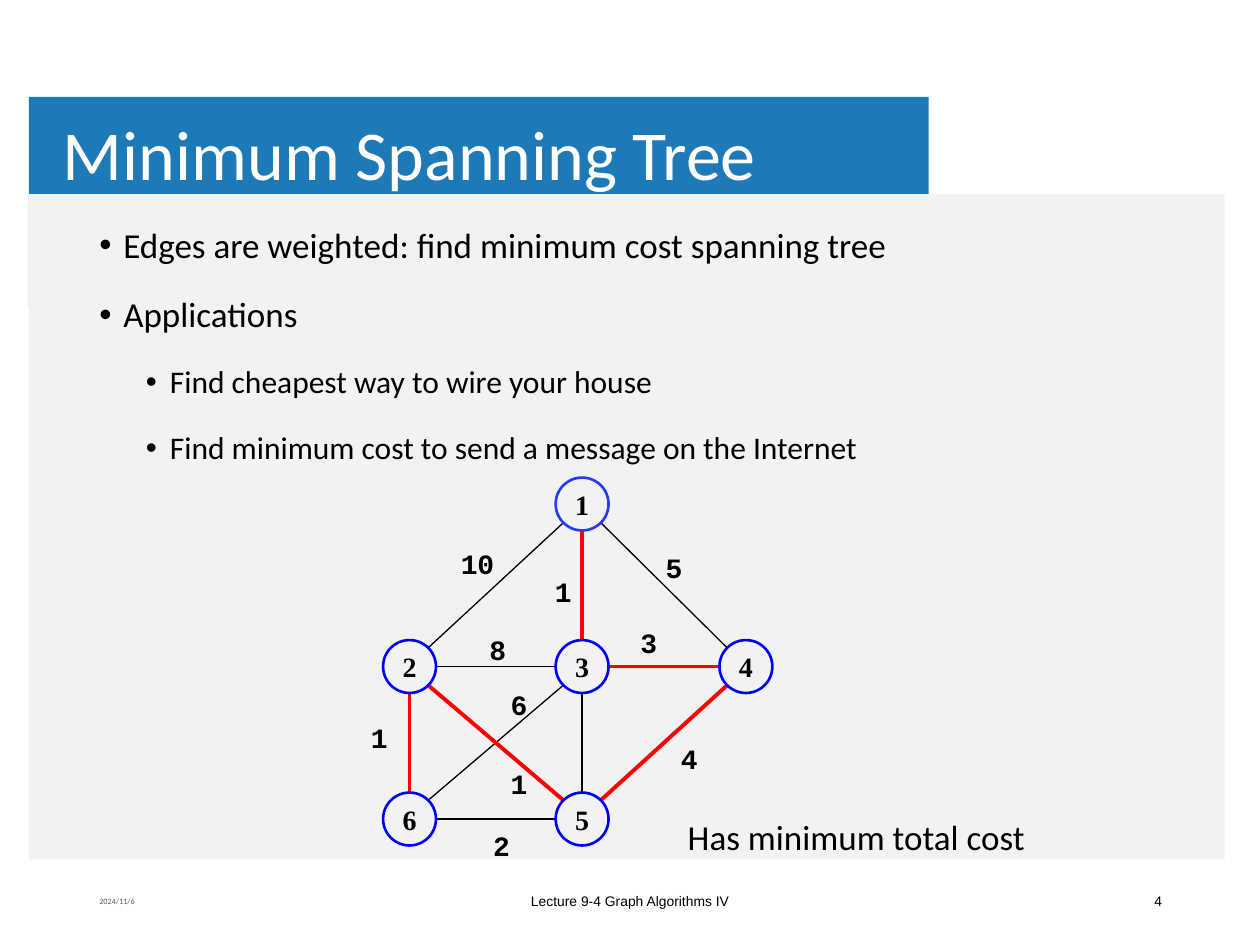
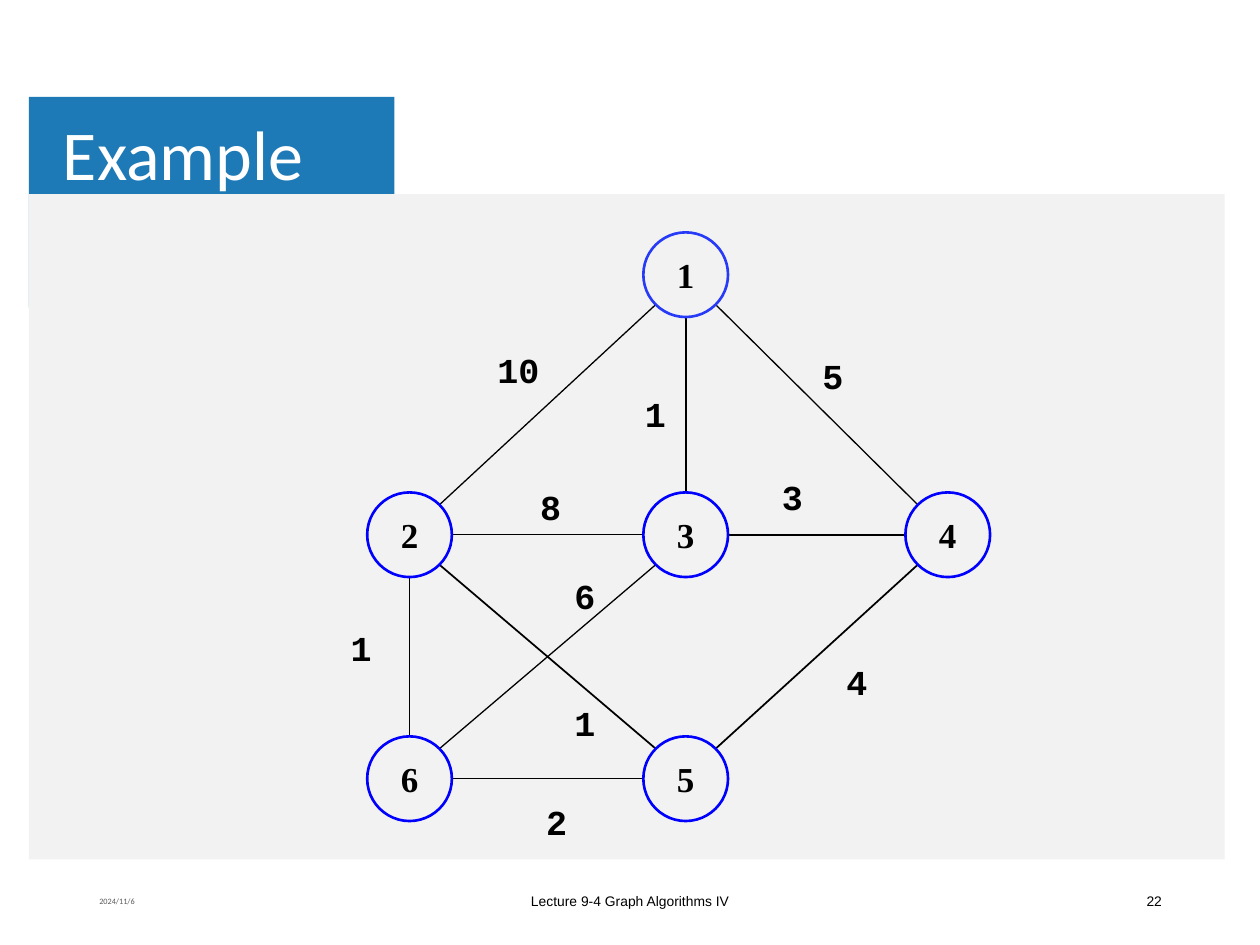
from math import sqrt

from lxml import etree
from pptx import Presentation
from pptx import util as u
from pptx.dml.color import RGBColor
from pptx.enum import shapes, text
from pptx.oxml import ns

BLUE = RGBColor(0x1E, 0x7A, 0xB6)
PALE = RGBColor(0xF2, 0xF2, 0xF2)
WHITE = RGBColor(0xFF, 0xFF, 0xFF)
BLACK = RGBColor(0, 0, 0)
GREY = RGBColor(0x59, 0x59, 0x59)
RED = RGBColor(0xFF, 0, 0)
RING = RGBColor(0, 0, 0xFF)
ROOT = RGBColor(0x26, 0x3A, 0xF8)

LEFT, CENTER, RIGHT = text.PP_ALIGN.LEFT, text.PP_ALIGN.CENTER, text.PP_ALIGN.RIGHT
TOP, MIDDLE = text.MSO_ANCHOR.TOP, text.MSO_ANCHOR.MIDDLE

COLS = (0, 1.37, 2.67)
ROWS = (0, 1.29, 2.5)
RADIUS = 0.21
NODES = {
    "1": (COLS[1], ROWS[0]),
    "2": (COLS[0], ROWS[1]),
    "3": (COLS[1], ROWS[1]),
    "4": (COLS[2], ROWS[1]),
    "5": (COLS[1], ROWS[2]),
    "6": (COLS[0], ROWS[2]),
}
TREE = ("13", "34", "45", "25", "26")
REST = ("12", "14", "23", "36", "56")
COSTS = (
    ("10", 0.54, 0.47), ("1", 1.22, 0.69), ("5", 2.1, 0.5), ("2", 0.73, 2.71),
    ("3", 1.9, 1.1), ("4", 2.22, 2.02), ("8", 0.7, 1.15), ("6", 0.87, 1.59),
    ("1", -0.24, 1.85), ("1", 0.87, 2.22),
)


def put(obj, **fmt):
    for key, val in fmt.items():
        setattr(obj, key, val)


def sign(num):
    return (num > 0) - (num < 0)


def inch(*nums):
    return [u.Inches(num) for num in nums]


class Deck:
    def __init__(self):
        self.show = Presentation()
        put(self.show, slide_width=u.Inches(10), slide_height=u.Inches(7.5))
        self.slide = None

    def start(self, title, band, page):
        self.slide = self.show.slides.add_slide(self.show.slide_layouts[6])
        self.block((0.23, 0.77, band, 1.67), BLUE)
        self.block((0.23, 1.54, 9.49, 5.28), PALE)
        head = self.label(title, (0.43, 0.76, 8.03, 0.98), 40, color=WHITE, anchor=MIDDLE)
        side, edge = inch(0.07, 0.04)
        put(head, margin_left=side, margin_right=side, margin_top=edge, margin_bottom=edge)
        head.paragraphs[0].line_spacing = 0.9
        foot = (
            ("Lecture 9-4 Graph Algorithms IV", 3.31, 3.38, 7.9, "Arial", BLACK, CENTER),
            (page, 7.07, 2.25, 7.9, "Arial", BLACK, RIGHT),
            ("2024/11/6", 0.69, 2.25, 4.7, "Calibri", GREY, LEFT),
        )
        for words, left, width, size, face, color, align in foot:
            self.label(words, (left, 6.95, width, 0.4), size, face, color, align, MIDDLE)

    def block(self, box, color):
        rect = self.slide.shapes.add_shape(shapes.MSO_SHAPE.RECTANGLE, *inch(*box))
        rect.shadow.inherit = False
        rect.fill.solid()
        rect.fill.fore_color.rgb = color
        rect.line.fill.background()

    def say(self, para, words, size, face="Calibri", color=BLACK, bold=False):
        run = para.add_run()
        run.text = words
        put(run.font, size=u.Pt(size), name=face, bold=bold)
        run.font.color.rgb = color

    def label(self, words, box, size, face="Calibri", color=BLACK,
              align=LEFT, anchor=TOP, bold=False):
        frame = self.slide.shapes.add_textbox(*inch(*box)).text_frame
        put(frame, word_wrap=True, vertical_anchor=anchor)
        para = frame.paragraphs[0]
        para.alignment = align
        self.say(para, words, size, face, color, bold)
        return frame

    def points(self, items, box):
        frame = self.slide.shapes.add_textbox(*inch(*box)).text_frame
        frame.word_wrap = True
        for num, (level, words) in enumerate(items):
            para = frame.add_paragraph() if num else frame.paragraphs[0]
            put(para, level=level, line_spacing=0.9, space_before=u.Pt(18 if num else 0))
            props = para._p.get_or_add_pPr()
            props.set("marL", str(u.Inches((0.19, 0.56)[level])))
            props.set("indent", str(u.Inches(-0.19)))
            font = etree.SubElement(props, ns.qn("a:buFont"))
            font.set("typeface", "Arial")
            etree.SubElement(props, ns.qn("a:buChar")).set("char", "•")
            self.say(para, words, (20, 18)[level])

    def node(self, name, x, y, rad, size):
        ball = self.slide.shapes.add_shape(
            shapes.MSO_SHAPE.OVAL, *inch(x - rad, y - rad, 2 * rad, 2 * rad))
        ball.shadow.inherit = False
        ball.fill.background()
        ball.line.color.rgb = ROOT if name == "1" else RING
        ball.line.width = u.Pt(1.5)
        frame = ball.text_frame
        put(frame, word_wrap=False, vertical_anchor=MIDDLE)
        frame.paragraphs[0].alignment = CENTER
        self.say(frame.paragraphs[0], name, size, "Times New Roman", bold=True)

    def edge(self, start, end, rad, color, width):
        dx, dy = (sign(b - a) for a, b in zip(start, end))
        gap = rad / sqrt(dx * dx + dy * dy)
        line = self.slide.shapes.add_connector(
            shapes.MSO_CONNECTOR.STRAIGHT,
            *inch(start[0] + gap * dx, start[1] + gap * dy,
                  end[0] - gap * dx, end[1] - gap * dy))
        line.line.color.rgb = color
        line.line.width = u.Pt(width)
        etree.SubElement(line._element.spPr, ns.qn("a:effectLst"))

    def graph(self, top, scale, size, color, width, rest):
        def place(x, y):
            return 3.25 + scale * x, top + scale * y

        spots = {name: place(*spot) for name, spot in NODES.items()}
        rad = RADIUS * scale
        for pairs, tint, thick in ((rest, BLACK, 0.75), (TREE, color, width)):
            for a, b in pairs:
                self.edge(spots[a], spots[b], rad, tint, thick)
        for name, spot in spots.items():
            self.node(name, *spot, rad, size)
        high = 0.1 + size / 60
        for cost, *spot in COSTS:
            x, y = place(*spot)
            wide = scale * (0.58 if len(cost) > 1 else 0.44)
            self.label(cost, (x - wide / 2, y - high / 2, wide, high), size,
                       "Courier New", align=CENTER, anchor=MIDDLE, bold=True)


def main():
    deck = Deck()
    deck.start("Minimum Spanning Tree", 7.14, "4")
    deck.points((
        (0, "Edges are weighted: find minimum cost spanning tree"),
        (0, "Applications"),
        (1, "Find cheapest way to wire your house"),
        (1, "Find minimum cost to send a message on the Internet"),
    ), (0.69, 1.76, 8.62, 2.12))
    deck.graph(4, 1, 16, RED, 2.25, REST + ("35",))
    deck.label("Has minimum total cost", (5.36, 6.42, 3.35, 0.44), 20)

    deck.start("Example", 2.9, "22")
    deck.graph(2.18, 1.6, 20, BLACK, 1, REST)
    deck.show.save("out.pptx")


if __name__ == "__main__":
    main()
